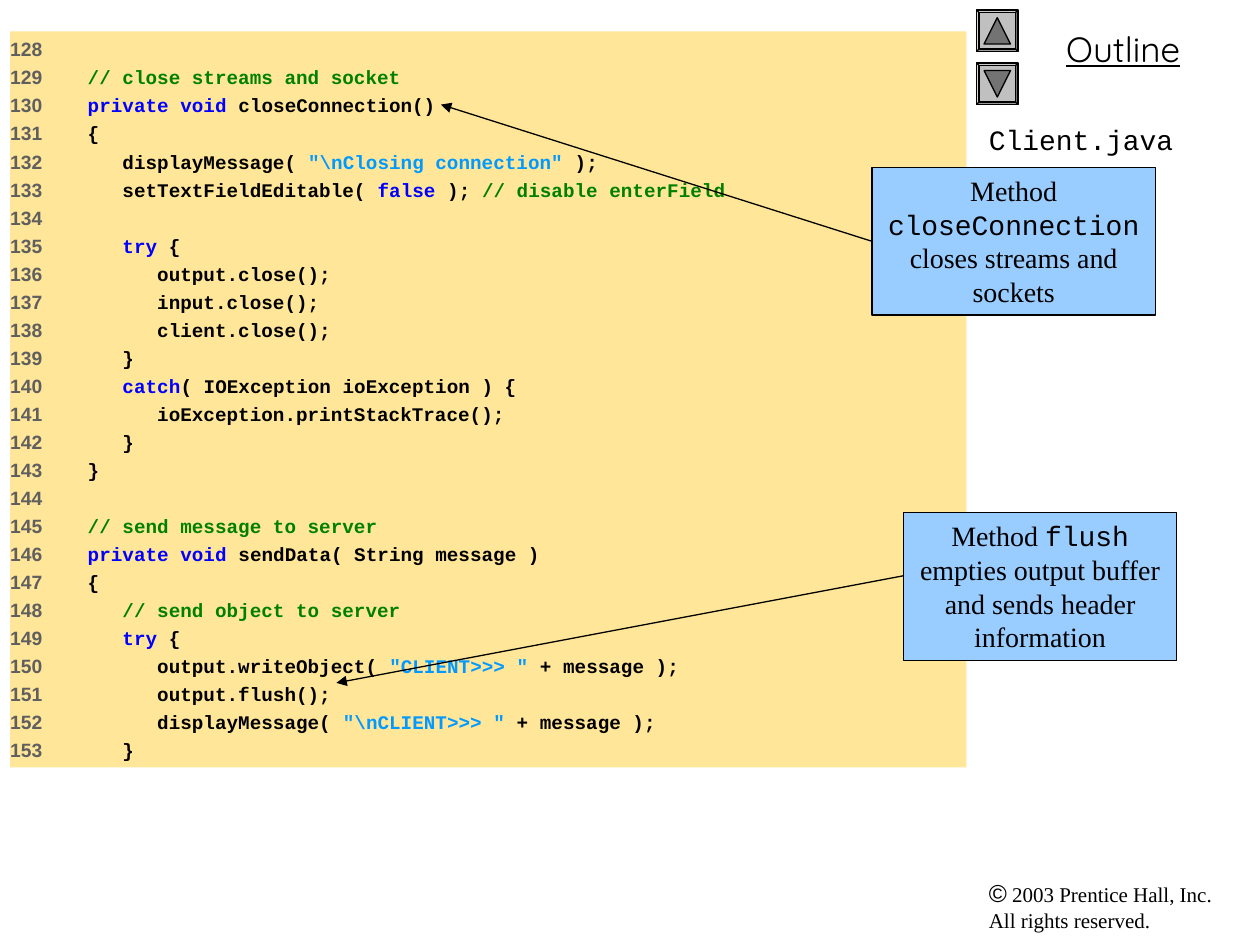
from dataclasses import dataclass
from functools import partial

import lxml.etree
import pptx
import pptx.dml.color
import pptx.enum.shapes
import pptx.enum.text
import pptx.oxml.ns
import pptx.util

Inches = pptx.util.Inches
Pt = pptx.util.Pt
RGBColor = pptx.dml.color.RGBColor
MSO_SHAPE = pptx.enum.shapes.MSO_SHAPE
PP_ALIGN = pptx.enum.text.PP_ALIGN
qn = pptx.oxml.ns.qn

BLACK = RGBColor(0x00, 0x00, 0x00)
NUMBER_GRAY = RGBColor(0x5F, 0x5F, 0x5F)
COMMENT_GREEN = RGBColor(0x00, 0x80, 0x00)
KEYWORD_BLUE = RGBColor(0x00, 0x00, 0xFF)
STRING_BLUE = RGBColor(0x00, 0x99, 0xFF)
LISTING_FILL = RGBColor(0xFF, 0xE6, 0x99)
CALLOUT_FILL = RGBColor(0x99, 0xCC, 0xFF)
BUTTON_GRAY = RGBColor(0xC0, 0xC0, 0xC0)
ARROW_GRAY = RGBColor(0x73, 0x73, 0x73)

SERIF = "Times New Roman"
MONO = "Courier New"
SANS = "Arial"


@dataclass(frozen=True)
class Span:
    text: str
    font: str = SERIF
    size: float = 16
    color: RGBColor = BLACK
    bold: bool = False
    underline: bool = False


@dataclass(frozen=True)
class Box:
    left: float
    top: float
    width: float
    height: float

    def lengths(self) -> list:
        return [Inches(v) for v in (self.left, self.top, self.width, self.height)]


@dataclass(frozen=True)
class Callout:
    box: Box
    spans: list[Span]
    start: tuple[float, float]
    target: tuple[float, float]
    joined: bool


@dataclass(frozen=True)
class Button:
    top: float
    arrow_top: float
    rotation: float


code = partial(Span, font=MONO, size=11, bold=True)
keyword = partial(code, color=KEYWORD_BLUE)
comment = partial(code, color=COMMENT_GREEN)
string = partial(code, color=STRING_BLUE)
number = partial(code, font=SANS, color=NUMBER_GRAY)

FIRST_LINE = 128
LISTING = [
    [],
    [comment("   // close streams and socket")],
    [keyword("   private void"), code(" closeConnection()")],
    [code("   {")],
    [code("      displayMessage( "), string('"\\nClosing connection"'), code(" );")],
    [code("      setTextFieldEditable( "), keyword("false"), code(" ); "),
     comment("// disable enterField")],
    [],
    [keyword("      try"), code(" {")],
    [code("         output.close();")],
    [code("         input.close();")],
    [code("         client.close();")],
    [code("      }")],
    [keyword("      catch"), code("( IOException ioException ) {")],
    [code("         ioException.printStackTrace();")],
    [code("      }")],
    [code("   }")],
    [],
    [comment("   // send message to server")],
    [keyword("   private void"), code(" sendData( String message )")],
    [code("   {")],
    [comment("      // send object to server")],
    [keyword("      try"), code(" {")],
    [code("         output.writeObject( "), string('"CLIENT>>> "'), code(" + message );")],
    [code("         output.flush();")],
    [code("         displayMessage( "), string('"\\nCLIENT>>> "'), code(" + message );")],
    [code("      }")],
]

CALLOUTS = [
    Callout(Box(6.92, 1.33, 2.25, 1.17),
            [Span("Method "), Span("closeConnection", MONO),
             Span(" closes streams and sockets")],
            (6.92, 1.92), (3.5, 0.83), True),
    Callout(Box(7.17, 4.07, 2.17, 1.17),
            [Span("Method "), Span("flush", MONO),
             Span(" empties output buffer and sends header information")],
            (7.17, 4.57), (2.67, 5.42), False),
]

BUTTONS = [Button(0.08, 0.14, 0), Button(0.5, 0.56, 180)]


def add_spans(p, spans: list[Span]) -> None:
    for span in spans:
        for i, text in enumerate(span.text.split("\n")):
            if i:
                p.add_line_break()
            r = p.add_run()
            r.text = text
            r.font.name = span.font
            r.font.size = Pt(span.size)
            r.font.color.rgb = span.color
            r.font.bold = span.bold
            r.font.underline = span.underline


def add_label(slide, box: Box, spans: list[Span], align=PP_ALIGN.LEFT) -> None:
    tf = slide.shapes.add_textbox(*box.lengths()).text_frame
    tf.word_wrap = True
    tf.paragraphs[0].alignment = align
    add_spans(tf.paragraphs[0], spans)


def add_filled(slide, kind, box: Box, fill: RGBColor, outlined: bool = True):
    sp = slide.shapes.add_shape(kind, *box.lengths())
    sp.shadow.inherit = False
    sp.fill.solid()
    sp.fill.fore_color.rgb = fill
    if outlined:
        sp.line.color.rgb = BLACK
        sp.line.width = Pt(0.75)
    else:
        sp.line.fill.background()
    sp.text_frame.word_wrap = True
    sp.text_frame.vertical_anchor = pptx.enum.text.MSO_ANCHOR.TOP
    return sp


def add_button(slide, button: Button) -> None:
    frame = add_filled(slide, MSO_SHAPE.BEVEL, Box(7.75, button.top, 0.33, 0.33), BUTTON_GRAY)
    frame.adjustments[0] = 0.06
    arrow = add_filled(slide, MSO_SHAPE.ISOSCELES_TRIANGLE,
                       Box(7.81, button.arrow_top, 0.21, 0.21), ARROW_GRAY)
    arrow.rotation = button.rotation


def add_listing(slide) -> None:
    sp = add_filled(slide, MSO_SHAPE.RECTANGLE, Box(0.08, 0.25, 7.59, 5.84),
                    LISTING_FILL, outlined=False)
    tf = sp.text_frame
    tf.margin_left = 0
    for i, spans in enumerate(LISTING):
        p = tf.add_paragraph() if i else tf.paragraphs[0]
        p.alignment = PP_ALIGN.LEFT
        p.line_spacing = Pt(13.2)
        p.space_before = Pt(2.8 if i else 0)
        label = str(FIRST_LINE + i)
        add_spans(p, [number(label + "  " if spans else label), *spans])


def add_callout(slide, callout: Callout) -> None:
    sp = add_filled(slide, MSO_SHAPE.RECTANGLE, callout.box, CALLOUT_FILL)
    p = sp.text_frame.paragraphs[0]
    p.alignment = PP_ALIGN.CENTER
    add_spans(p, callout.spans)
    ends = [Inches(v) for v in (*callout.start, *callout.target)]
    line = slide.shapes.add_connector(pptx.enum.shapes.MSO_CONNECTOR.STRAIGHT, *ends)
    if callout.joined:
        line.begin_connect(sp, 1)
    line.line.color.rgb = BLACK
    line.line.width = Pt(0.75)
    props = line.element.spPr
    lxml.etree.SubElement(props.find(qn("a:ln")), qn("a:tailEnd"), type="triangle")
    lxml.etree.SubElement(props, qn("a:effectLst"))


def main() -> None:
    prs = pptx.Presentation()
    prs.slide_width = Inches(10)
    prs.slide_height = Inches(7.5)
    slide = prs.slides.add_slide(prs.slide_layouts[6])
    add_label(slide, Box(7.75, 6.92, 2.17, 0.54),
              [Span("©", SANS, 14),
               Span(" 2003 Prentice Hall, Inc.\nAll rights reserved.", size=12)])
    add_label(slide, Box(7.83, 0.17, 2.17, 0.44),
              [Span("Outline", "Quicksand", 20, underline=True)], PP_ALIGN.CENTER)
    for button in BUTTONS:
        add_button(slide, button)
    add_label(slide, Box(7.75, 0.92, 2.25, 6), [Span("Client.java", MONO)])
    add_listing(slide)
    for callout in CALLOUTS:
        add_callout(slide, callout)
    prs.save("out.pptx")


if __name__ == "__main__":
    main()
